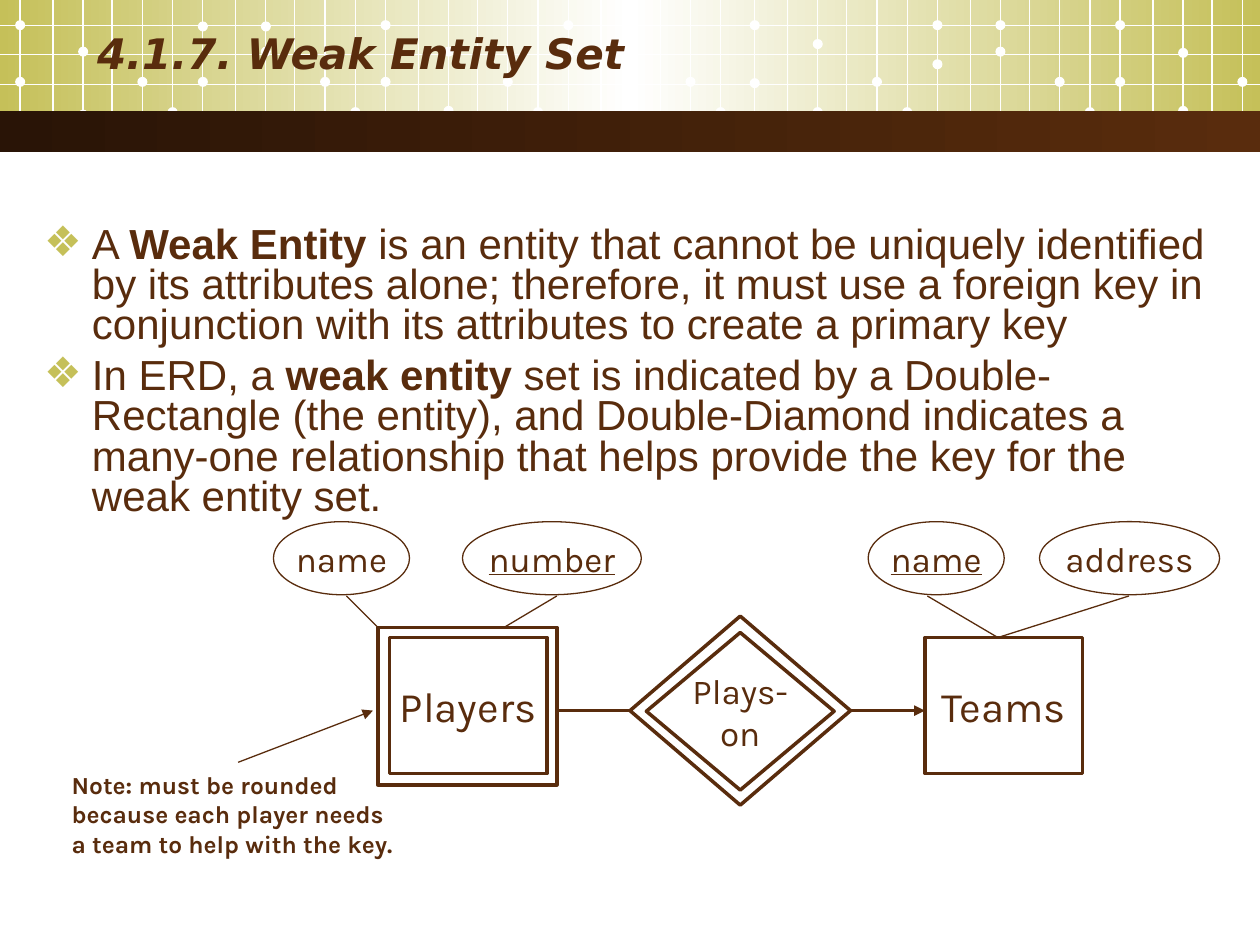
from lxml import etree
from pptx import Presentation
from pptx.dml.color import RGBColor
from pptx.enum.shapes import MSO_CONNECTOR, MSO_SHAPE
from pptx.enum.text import MSO_ANCHOR, MSO_AUTO_SIZE, PP_ALIGN
from pptx.oxml.ns import qn
from pptx.util import Inches, Pt

RECTANGLE, OVAL, DIAMOND = MSO_SHAPE.RECTANGLE, MSO_SHAPE.OVAL, MSO_SHAPE.DIAMOND
STRAIGHT = MSO_CONNECTOR.STRAIGHT
MIDDLE, TOP = MSO_ANCHOR.MIDDLE, MSO_ANCHOR.TOP
LEFT, CENTER = PP_ALIGN.LEFT, PP_ALIGN.CENTER
NO_FIT = MSO_AUTO_SIZE.NONE
LEFT_SITE, RIGHT_SITE = 1, 3

COLORS = {"brown": "592C0D", "dark": "291406", "olive": "C5C059", "white": "FFFFFF"}
COLUMN_OFFSETS = (0, 0.26, 0.5, 0.73, 0.97, 1.21)
ROW_HEIGHTS = (0.2, 0.43, 0.67, 0.89)
DOT = 0.08
DOT_GROUPS = (
    (0.16, (0.61, 0.16), (0.37, 0.87)),
    (1.61, (0.61, 0.17), (0.37, 0.17)),
    (3.06, (0.61, 0.16), (0.37, 0.84)),
    (4.51, (0.39, 0.16), (0.38, 0.16)),
    (5.99, (0.62, 0.16), (0.31, 0.85)),
    (7.44, (0.47, 0.16), (0.37, 0.16)),
    (8.89, (0.61, 0.16), (0.38, 0.84)),
)
POINTS = (
    ("A ", "Weak Entity", " is an entity that cannot be uniquely identified by its attributes "
     "alone; therefore, it must use a foreign key in conjunction with its attributes to create "
     "a primary key"),
    ("In ERD, a ", "weak entity", " set is indicated by a Double-Rectangle (the entity), and "
     "Double-Diamond indicates a many-one relationship that helps provide the key for the weak "
     "entity set."),
)


def color(name):
    """Return the named palette colour."""
    return RGBColor.from_string(COLORS[name])


def inches(box):
    """Turn a sequence of numbers into lengths."""
    return [Inches(length) for length in box]


def style_font(font, name, size, bold=False):
    """Set the typeface, size and weight in the text colour."""
    font.name, font.size, font.bold = name, Pt(size), bold
    font.color.rgb = color("brown")


def add_line(shapes, start, end, tint="brown", width=0.75, arrow=False):
    """Draw a straight line, with an arrowhead at its end if asked."""
    line = shapes.add_connector(STRAIGHT, *inches(start + end))
    line.line.color.rgb = color(tint)
    line.line.width = Pt(width)
    if arrow:
        outline = line.element.spPr.find(qn("a:ln"))
        etree.SubElement(outline, qn("a:tailEnd"), type="triangle")
    etree.SubElement(line.element.spPr, qn("a:effectLst"))
    return line


def add_band(slide, box, tints):
    """Fill a band with evenly spaced colours from left to right."""
    band = slide.shapes.add_shape(RECTANGLE, *inches(box))
    band.shadow.inherit = False
    band.line.fill.background()
    band.fill.gradient()
    band.fill.gradient_angle = 0
    stops = band.element.spPr.find(".//" + qn("a:gsLst"))
    for stop in list(stops):
        stops.remove(stop)
    for index, tint in enumerate(tints):
        position = str(100000 * index // (len(tints) - 1))
        stop = etree.SubElement(stops, qn("a:gs"), pos=position)
        etree.SubElement(stop, qn("a:srgbClr"), val=COLORS[tint])


def add_grid(slide, box):
    """Lay the white lines and dots over the header box."""
    left, top, width, height = box
    grid = slide.shapes.add_group_shape().shapes
    for start, first_dots, middle_dots in DOT_GROUPS:
        columns = [left + start + offset for offset in COLUMN_OFFSETS]
        dots = [(columns[0], y) for y in first_dots] + [(columns[2], y) for y in middle_dots]
        dots += [(columns[4], 0.61), (columns[5], 0.85)]
        for x in columns:
            if x < left + width:
                add_line(grid, (x, top), (x, top + height), "white")
        for x, y in dots:
            if x < left + width:
                dot = grid.add_shape(OVAL, *inches((x - DOT / 2, top + y, DOT, DOT)))
                dot.shadow.inherit = False
                dot.fill.solid()
                dot.fill.fore_color.rgb = color("white")
                dot.line.fill.background()
    for y in ROW_HEIGHTS:
        add_line(grid, (left, top + y), (left + width, top + y), "white")


def add_header(slide, box):
    """Build the patterned header with the dark bar below it."""
    left, top, width, height = box
    add_band(slide, (left, top, width, 1.02), ("olive", "white", "olive"))
    add_grid(slide, (left, top, width, 1.1))
    add_band(slide, (left, top + 0.88, width, height - 0.88), ("dark", "brown"))


def place(placeholder, box):
    """Move a placeholder to the box, in front of what is drawn so far."""
    placeholder.left, placeholder.top, placeholder.width, placeholder.height = inches(box)
    placeholder.element.getparent().append(placeholder.element)
    placeholder.text_frame.auto_size = NO_FIT


def fill_title(slide, box):
    """Write the slide title."""
    title = slide.shapes.title
    place(title, box)
    title.text_frame.text = "4.1.7. Weak Entity Set"
    title.text_frame.vertical_anchor = MIDDLE
    heading = title.text_frame.paragraphs[0]
    heading.alignment = LEFT
    style_font(heading.font, "DejaVu Sans", 24, bold=True)
    heading.font.italic = True


def fill_body(slide, box):
    """Write the bulleted definition of a weak entity."""
    body = slide.placeholders[1]
    place(body, box)
    body.text_frame.vertical_anchor = TOP
    for index, pieces in enumerate(POINTS):
        point = body.text_frame.add_paragraph() if index else body.text_frame.paragraphs[0]
        point.line_spacing = 0.8
        point.space_before = Pt(6 if index else 0)
        properties = point._p.get_or_add_pPr()
        properties.set("marL", str(Inches(0.38)))
        properties.set("indent", str(-Inches(0.38)))
        bullet_color = etree.SubElement(properties, qn("a:buClr"))
        etree.SubElement(bullet_color, qn("a:srgbClr"), val=COLORS["olive"])
        etree.SubElement(properties, qn("a:buChar"), char="❖")
        for position, piece in enumerate(pieces):
            run = point.add_run()
            run.text = piece
            style_font(run.font, "Arial", 24, bold=position == 1)


def add_node(slide, kind, box, label="", size=20, width=2, key=False):
    """Draw one outlined diagram shape with its centred label."""
    node = slide.shapes.add_shape(kind, *inches(box))
    node.shadow.inherit = False
    node.fill.background()
    node.line.color.rgb = color("brown")
    node.line.width = Pt(width)
    if label:
        node.text_frame.text = label
        node.text_frame.word_wrap = False
        node.text_frame.vertical_anchor = MIDDLE
        for line in node.text_frame.paragraphs:
            line.alignment = CENTER
            style_font(line.font, "Karla", size)
            line.font.underline = key
    return node


def add_note(slide, box):
    """Write the remark on the rounded arrow."""
    note = slide.shapes.add_textbox(*inches(box)).text_frame
    note.word_wrap = False
    note.text = "Note: must be rounded\nbecause each player needs\na team to help with the key."
    for line in note.paragraphs:
        style_font(line.font, "Karla", 14, bold=True)


def add_diagram(slide, box):
    """Draw the entities, their attributes and the relationship."""
    left, top = box[:2]

    def at(x, y, *size):
        """Shift a position into the diagram box."""
        return (left + x, top + y) + size

    add_note(slide, at(0, 1.92, 2.93, 0.8))
    add_line(slide.shapes, at(1.42, 1.91), at(2.49, 1.5), arrow=True)
    for x, name in ((2.62, "Players"), (6.87, "Teams")):
        add_node(slide, RECTANGLE, at(x, 0.92, 1.25, 1.08), name, 24)
    add_node(slide, RECTANGLE, at(2.53, 0.84, 1.42, 1.25))
    add_node(slide, DIAMOND, at(4.66, 0.88, 1.49, 1.25), "Plays-\non")
    relationship = add_node(slide, DIAMOND, at(4.53, 0.75, 1.75, 1.5))
    for x, width, name, key, foot, target in (
        (1.7, 1.08, "name", False, 2.28, (2.53, 0.84)),
        (3.2, 1.42, "number", True, 3.95, (3.53, 0.84)),
        (6.42, 1.08, "name", True, 6.89, (7.45, 0.92)),
        (7.78, 1.43, "address", False, 8.49, (7.45, 0.92)),
    ):
        add_node(slide, OVAL, at(x, 0, width, 0.58), name, width=0.75, key=key)
        add_line(slide.shapes, at(foot, 0.59), at(*target))
    players_link = add_line(slide.shapes, at(3.95, 1.5), at(4.53, 1.5), width=2)
    players_link.end_connect(relationship, LEFT_SITE)
    teams_link = add_line(slide.shapes, at(6.28, 1.5), at(6.87, 1.5), width=2, arrow=True)
    teams_link.begin_connect(relationship, RIGHT_SITE)


def main():
    """Build the slide and save it."""
    deck = Presentation()
    deck.slide_width, deck.slide_height = Inches(10), Inches(7.5)
    slide = deck.slides.add_slide(deck.slide_layouts[1])
    add_header(slide, (0, 0, 10, 1.21))
    fill_title(slide, (0.67, 0, 8.03, 0.84))
    fill_body(slide, (0.25, 1.75, 9.5, 2.63))
    add_diagram(slide, (0.47, 4.14, 9.21, 2.72))
    deck.save("out.pptx")


if __name__ == "__main__":
    main()
